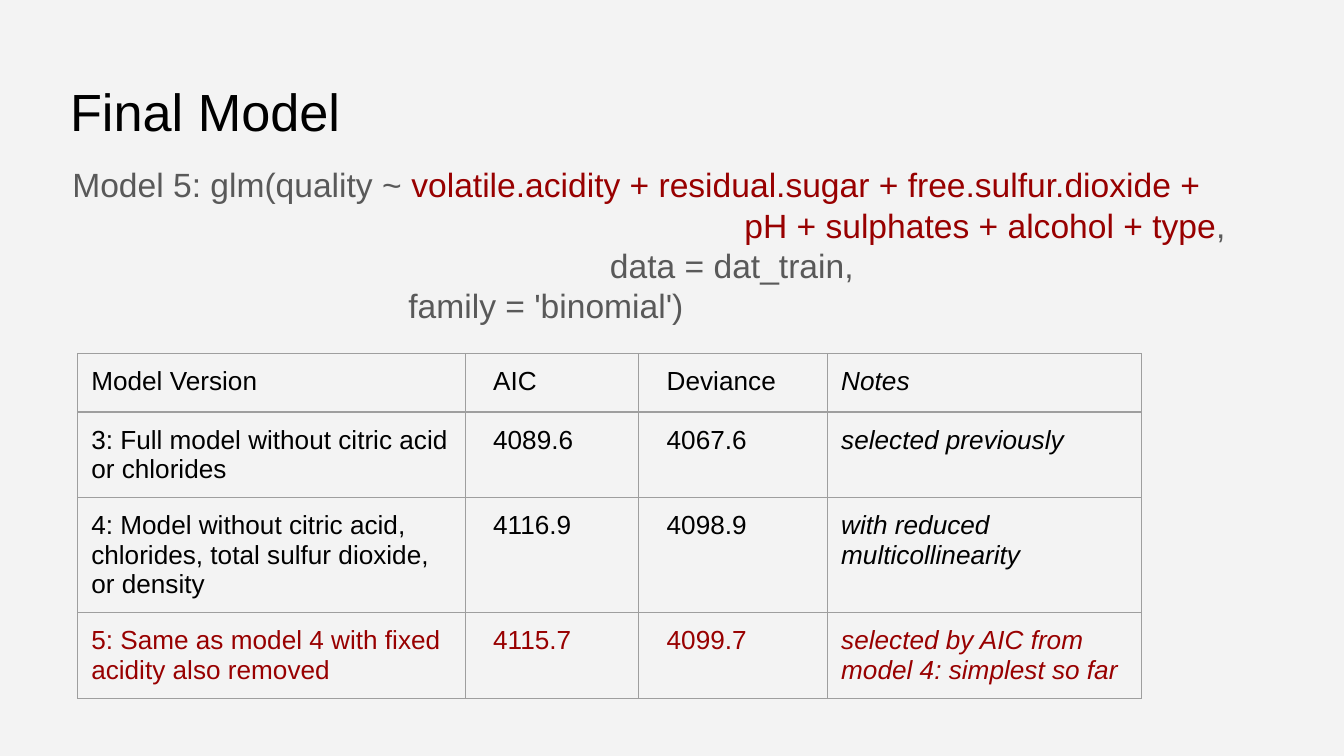
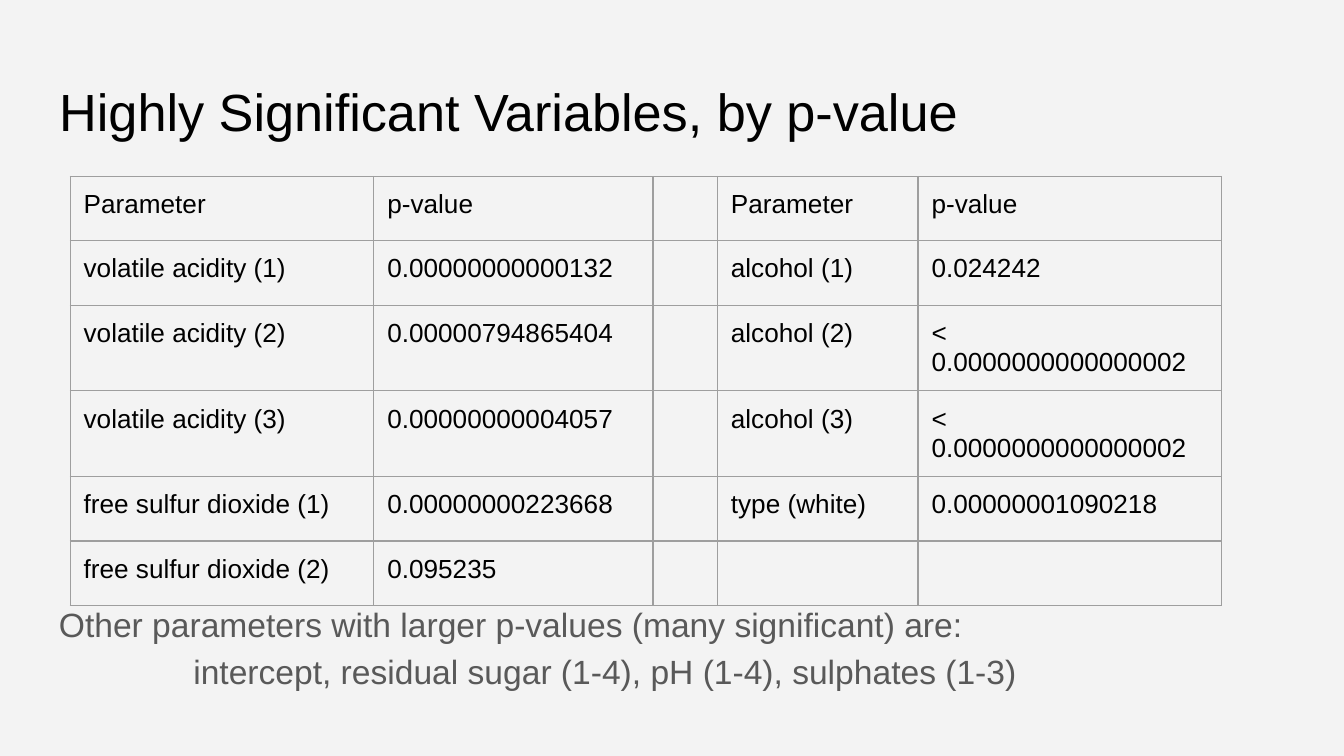
from dataclasses import dataclass

from lxml import etree
from pptx import Presentation
from pptx.dml.color import RGBColor
from pptx.enum.text import MSO_ANCHOR, MSO_AUTO_SIZE, PP_ALIGN
from pptx.oxml.ns import qn
from pptx.util import Pt

TOP = MSO_ANCHOR.TOP
NO_AUTOFIT = MSO_AUTO_SIZE.NONE
LEFT = PP_ALIGN.LEFT
TITLE_ONLY = 5


@dataclass(frozen=True)
class Theme:
    font: str = "Arial"
    paper: str = "F3F3F3"
    ink: str = "000000"
    muted: str = "595959"
    accent: str = "980000"
    rule: str = "9E9E9E"
    rule_width: float = 0.75
    title_size: float = 28
    body_size: float = 18
    cell_size: float = 14
    inset: float = 7.2


@dataclass(frozen=True)
class Box:
    left: float
    top: float
    width: float = 0
    height: float = 0

    def lengths(self):
        return [Pt(v) for v in (self.left, self.top, self.width, self.height)]


THEME = Theme()
TITLE_TOP, TITLE_WIDTH, TITLE_HEIGHT = 35.4, 671, 45.4

MODEL_ROWS = [
    ["Model Version", "AIC", "Deviance", "Notes"],
    ["3: Full model without citric acid or chlorides", "4089.6", "4067.6",
     "selected previously"],
    ["4: Model without citric acid, chlorides, total sulfur dioxide, or density",
     "4116.9", "4098.9", "with reduced multicollinearity"],
    ["5: Same as model 4 with fixed acidity also removed", "4115.7", "4099.7",
     "selected by AIC from model 4: simplest so far"],
]
FORMULA = [
    (0, [("Model 5: glm(quality ~ ", THEME.muted),
         ("volatile.acidity + residual.sugar + free.sulfur.dioxide +", THEME.accent)]),
    (360, [("pH + sulphates + alcohol + type", THEME.accent), (",", THEME.muted)]),
    (288, [("data = dat_train,", THEME.muted)]),
    (180, [("family = 'binomial')", THEME.muted)]),
]
P_VALUE_ROWS = [
    ["Parameter", "p-value", "", "Parameter", "p-value"],
    ["volatile acidity (1)", "0.00000000000132", "", "alcohol (1)", "0.024242"],
    ["volatile acidity (2)", "0.00000794865404", "", "alcohol (2)",
     "< 0.0000000000000002"],
    ["volatile acidity (3)", "0.00000000004057", "", "alcohol (3)",
     "< 0.0000000000000002"],
    ["free sulfur dioxide (1)", "0.00000000223668", "", "type (white)",
     "0.00000001090218"],
    ["free sulfur dioxide (2)", "0.095235", "", "", ""],
]
OTHER_PARAMETERS = [
    (0, [("Other parameters with larger p-values (many significant) are:", THEME.muted)]),
    (72, [("intercept, residual sugar (1-4), pH (1-4), sulphates (1-3)", THEME.muted)]),
]


def apply(target, values):
    for name, value in values.items():
        setattr(target, name, value)


def insets(left=THEME.inset):
    margins = {f"margin_{side}": Pt(THEME.inset) for side in ("top", "right", "bottom")}
    return {"margin_left": Pt(left), **margins}


def style_font(font, size, color, italic=False):
    apply(font, {"name": THEME.font, "size": Pt(size), "bold": False, "italic": italic})
    font.color.rgb = RGBColor.from_string(color)


def prepare_frame(frame):
    apply(frame, {"word_wrap": True, "auto_size": NO_AUTOFIT,
                  "vertical_anchor": TOP, **insets()})


def add_titled_slide(deck, heading, left):
    slide = deck.slides.add_slide(deck.slide_layouts[TITLE_ONLY])
    title = slide.shapes.title
    box = Box(left, TITLE_TOP, TITLE_WIDTH, TITLE_HEIGHT)
    apply(title, dict(zip(("left", "top", "width", "height"), box.lengths())))
    prepare_frame(title.text_frame)
    title.text_frame.text = heading
    paragraph = title.text_frame.paragraphs[0]
    paragraph.alignment = LEFT
    style_font(paragraph.runs[0].font, THEME.title_size, THEME.ink)
    return slide


def add_indented_text(slide, box, lines, spacing=1.0):
    frame = slide.shapes.add_textbox(*box.lengths()).text_frame
    prepare_frame(frame)
    for number, (indent, pieces) in enumerate(lines):
        paragraph = frame.add_paragraph() if number else frame.paragraphs[0]
        apply(paragraph, {"alignment": LEFT, "line_spacing": spacing})
        if indent:
            paragraph._p.get_or_add_pPr().set("marL", str(Pt(indent)))
        for words, color in pieces:
            run = paragraph.add_run()
            run.text = words
            style_font(run.font, THEME.body_size, color)


def rule_cell(cell):
    properties = cell._tc.get_or_add_tcPr()
    for order, side in enumerate(("lnL", "lnR", "lnT", "lnB")):
        line = etree.Element(qn(f"a:{side}"), w=str(Pt(THEME.rule_width)))
        fill = etree.SubElement(line, qn("a:solidFill"))
        etree.SubElement(fill, qn("a:srgbClr"), val=THEME.rule)
        properties.insert(order, line)


def fill_cell(cell, value, color, italic):
    paragraph = cell.text_frame.paragraphs[0]
    if value:
        run = paragraph.add_run()
        run.text = value
        style_font(run.font, THEME.cell_size, color, italic)
    else:
        etree.SubElement(paragraph._p, qn("a:endParaRPr"),
                         sz=str(THEME.cell_size * 100))


def add_ruled_table(slide, box, rows, widths, heights,
                    left_insets=None, italic_column=None, accent_row=None):
    box = Box(box.left, box.top, sum(widths), sum(heights))
    table = slide.shapes.add_table(len(rows), len(widths), *box.lengths()).table
    apply(table, {"first_row": False, "horz_banding": False})
    for column, width in zip(table.columns, widths):
        column.width = Pt(width)
    for row, height in zip(table.rows, heights):
        row.height = Pt(height)
    for r, values in enumerate(rows):
        color = THEME.accent if r == accent_row else THEME.ink
        for c, value in enumerate(values):
            cell = table.cell(r, c)
            left = (left_insets or {}).get(c, THEME.inset)
            apply(cell, {"vertical_anchor": TOP, **insets(left)})
            cell.fill.background()
            rule_cell(cell)
            fill_cell(cell, value, color, c == italic_column)


def build_final_model(deck):
    slide = add_titled_slide(deck, "Final Model", 30.4)
    add_ruled_table(slide, Box(41.7, 189.5), MODEL_ROWS,
                    widths=[207.5, 93, 101.3, 168.2],
                    heights=[31.2, 45.6, 61.6, 45.8],
                    left_insets={1: 15, 2: 15}, italic_column=3, accent_row=3)
    add_indented_text(slide, Box(31.7, 80.8, 650, 94.5), FORMULA)


def build_significant_variables(deck):
    slide = add_titled_slide(deck, "Highly Significant Variables, by p-value", 24.5)
    add_indented_text(slide, Box(24.5, 313.2, 671, 65), OTHER_PARAMETERS, 1.15)
    single, double = 34.5, 45.8
    add_ruled_table(slide, Box(37.6, 94.5), P_VALUE_ROWS,
                    widths=[162.7, 149.5, 34.6, 107.5, 162.7],
                    heights=[single, single, double, double, single, single])


def main():
    deck = Presentation()
    apply(deck, {"slide_width": Pt(720), "slide_height": Pt(405)})
    paper = deck.slide_master.background.fill
    paper.solid()
    paper.fore_color.rgb = RGBColor.from_string(THEME.paper)
    build_final_model(deck)
    build_significant_variables(deck)
    deck.save("out.pptx")


if __name__ == "__main__":
    main()
